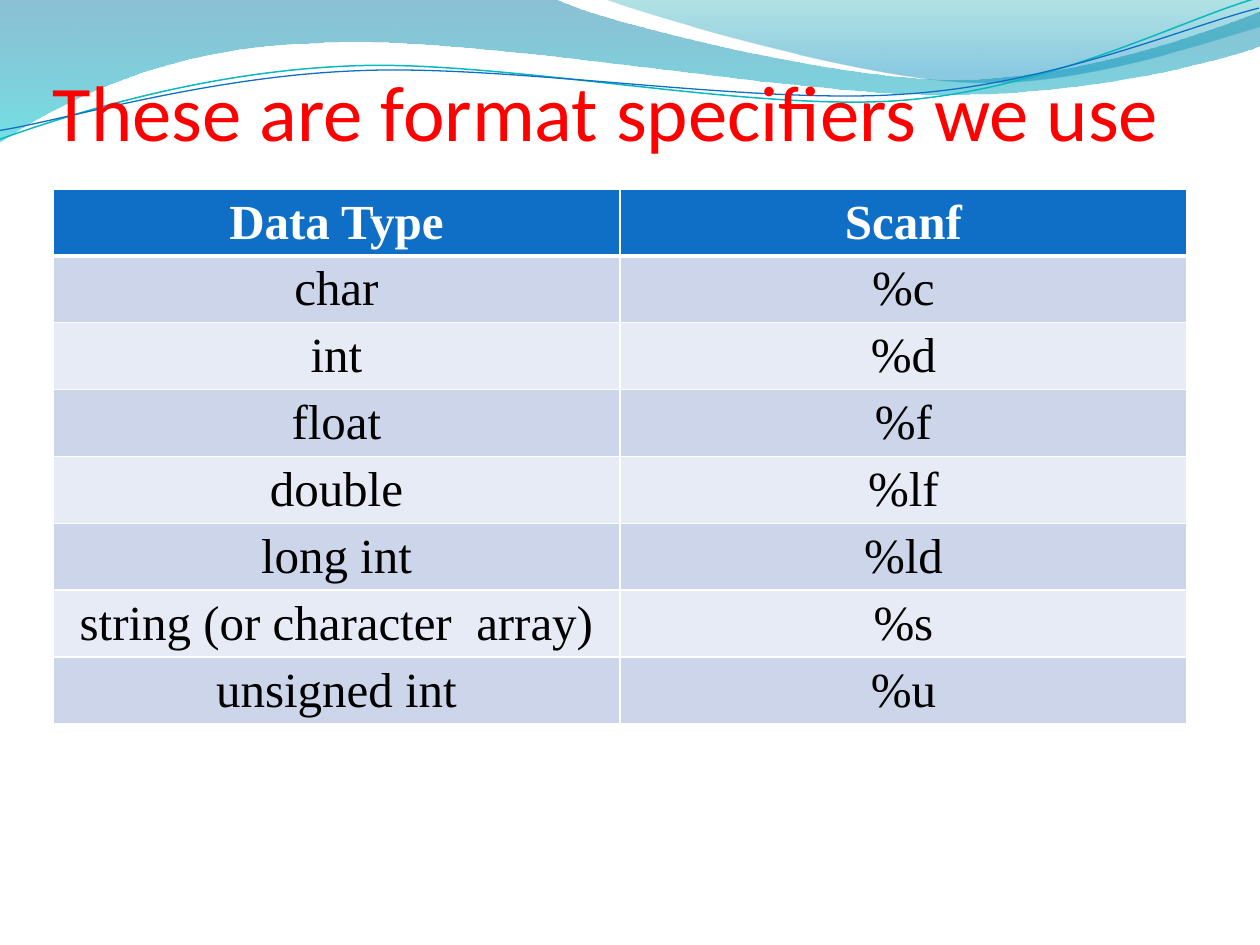
import lxml.etree
import pptx
import pptx.dml.color
import pptx.enum.text
import pptx.oxml.ns
import pptx.util

PX = 9144
LINE_ROTATION = 357.3
RGBColor = pptx.dml.color.RGBColor
qn = pptx.oxml.ns.qn

WHITE = RGBColor(0xFF, 0xFF, 0xFF)
BLACK = RGBColor(0x00, 0x00, 0x00)
RED = RGBColor(0xFF, 0x00, 0x00)
BLUE = RGBColor(0x0F, 0x6F, 0xC6)
TEAL = RGBColor(0x0A, 0xB8, 0xBF)
DEEP_BLUE = RGBColor(0x00, 0x74, 0xA1)
AQUA = RGBColor(0x00, 0xC6, 0xCF)
SEA_GREEN = RGBColor(0x00, 0xA1, 0xA9)
SKY_BLUE = RGBColor(0x00, 0x8B, 0xBF)
DARK_BAND = RGBColor(0xCC, 0xD5, 0xEA)
LIGHT_BAND = RGBColor(0xE7, 0xEB, 0xF5)

WIDE_WAVE = [
    (0, 0), (440, -1), (476, 17, 664, 63, 758, 63), (853, 63, 958, 26, 1000, 9),
    (1001, 36), (983, 44, 870, 76, 746, 75), (622, 75, 382, 28, 257, 34),
    (129, 36, 46, 83, -1, 113), (0, 0),
]
RIGHT_WAVE = [
    (479, -1), (509, 11, 682, 62, 769, 65), (856, 69, 961, 32, 1000, 21),
    (1000, 0), (479, -1),
]
TEAL_LINE = [
    (-2, 87), (47, 72, 158, 41, 278, 42), (396, 42, 591, 93, 712, 90),
    (832, 87, 940, 36, 1000, 22),
]
BLUE_LINE = [
    (-2, 80), (46, 75, 164, 45, 283, 46), (403, 46, 596, 88, 716, 85),
    (835, 83, 942, 42, 1001, 30),
]
WAVES = [
    (WIDE_WAVE, [(0, DEEP_BLUE, 45), (1, AQUA, 55)]),
    (RIGHT_WAVE, [(0, SEA_GREEN, 30), (0.8, SKY_BLUE, 45)]),
]
LINES = [(TEAL_LINE, TEAL, 0.85), (BLUE_LINE, BLUE, 0.75)]

SPECIFIERS = [
    ("Data Type", "Scanf"),
    ("char", "%c"),
    ("int", "%d"),
    ("float", "%f"),
    ("double", "%lf"),
    ("long int", "%ld"),
    ("string (or character  array)", "%s"),
    ("unsigned int", "%u"),
]


def add_outline(slide, left, top, segments, close):
    """Draw a freeform whose six-number segments are cubic curves."""
    points = [
        ((left + x) * PX, (top + y) * PX)
        for segment in segments
        for x, y in zip(segment[::2], segment[1::2])
    ]
    builder = slide.shapes.build_freeform(*points[0])
    builder.add_line_segments(points[1:], close=close)
    shape = builder.convert_to_shape()
    shape.shadow.inherit = False
    steps = iter(list(shape.element.iter(qn("a:lnTo"))))
    for segment in segments[1:]:
        step = next(steps)
        if len(segment) == 6:
            curve = lxml.etree.Element(qn("a:cubicBezTo"))
            step.addprevious(curve)
            for control in (step, next(steps), next(steps)):
                curve.append(control[0])
                control.getparent().remove(control)
    return shape


def add_waves(slide, left, top):
    """Add the translucent waves and the thin lines along the top."""
    for segments, stops in WAVES:
        shape = add_outline(slide, left, top, segments, True)
        shape.line.fill.background()
        shape.fill.gradient()
        shape.fill.gradient_angle = 270
        for stop, (position, color, _) in zip(shape.fill.gradient_stops, stops):
            stop.position = position
            stop.color.rgb = color
        for element, (_, _, opacity) in zip(shape.element.iter(qn("a:srgbClr")), stops):
            lxml.etree.SubElement(element, qn("a:alpha"), val=str(opacity * 1000))
    for segments, color, width in LINES:
        shape = add_outline(slide, left, top, segments, False)
        shape.rotation = LINE_ROTATION
        shape.fill.background()
        shape.line.color.rgb = color
        shape.line.width = pptx.util.Pt(width)


def format_paragraph(paragraph, font_name, size, color, alignment, bold=False):
    """Align a paragraph and format its runs."""
    paragraph.alignment = alignment
    for run in paragraph.runs:
        run.font.name = font_name
        run.font.size = pptx.util.Pt(size)
        run.font.color.rgb = color
        run.font.bold = bold


def place_title(slide, left, top, width, height):
    """Fill the title placeholder and bring it in front of the waves."""
    title = slide.shapes.title
    title.left, title.top = left * PX, top * PX
    title.width, title.height = width * PX, height * PX
    frame = title.text_frame
    frame.text = "These are format specifiers we use"
    frame.word_wrap = True
    frame.auto_size = pptx.enum.text.MSO_AUTO_SIZE.NONE
    frame.vertical_anchor = pptx.enum.text.MSO_ANCHOR.BOTTOM
    frame.margin_left = frame.margin_right = frame.margin_bottom = 0
    frame.margin_top = 5 * PX
    format_paragraph(
        frame.paragraphs[0], "Calibri", 45, RED, pptx.enum.text.PP_ALIGN.LEFT
    )
    slide.shapes.element.append(title.element)


def set_borders(cell, widths):
    """Give a cell white borders of the given widths in points."""
    properties = cell._tc.get_or_add_tcPr()
    for index, (side, width) in enumerate(widths.items()):
        line = lxml.etree.Element(qn(f"a:ln{side}"), w=str(pptx.util.Pt(width)))
        fill = lxml.etree.SubElement(line, qn("a:solidFill"))
        lxml.etree.SubElement(fill, qn("a:srgbClr"), val=str(WHITE))
        properties.insert(index, line)


def add_specifier_table(slide, left, top, width, height):
    """Add the banded table of data types and specifiers."""
    row_count, column_count = len(SPECIFIERS), len(SPECIFIERS[0])
    table = slide.shapes.add_table(
        row_count, column_count, left * PX, top * PX, width * PX, height * PX
    ).table
    for row_index, texts in enumerate(SPECIFIERS):
        header = row_index == 0
        band = DARK_BAND if row_index % 2 else LIGHT_BAND
        for column_index, text in enumerate(texts):
            cell = table.cell(row_index, column_index)
            cell.text_frame.text = text
            cell.fill.solid()
            cell.fill.fore_color.rgb = BLUE if header else band
            format_paragraph(
                cell.text_frame.paragraphs[0], "Times New Roman", 28,
                WHITE if header else BLACK, pptx.enum.text.PP_ALIGN.CENTER, header,
            )
            top_width = 3 if row_index == 1 else 1
            set_borders(cell, {"L": 1, "R": 1, "T": top_width, "B": 3 if header else 1})


def main():
    """Build and save the slide."""
    presentation = pptx.Presentation()
    presentation.slide_width = 1000 * PX
    presentation.slide_height = 750 * PX
    slide = presentation.slides.add_slide(presentation.slide_layouts[5])
    add_waves(slide, 0, 0)
    place_title(slide, 42, 0, 900, 125)
    add_specifier_table(slide, 42, 150, 900, 424)
    presentation.save("out.pptx")


if __name__ == "__main__":
    main()
